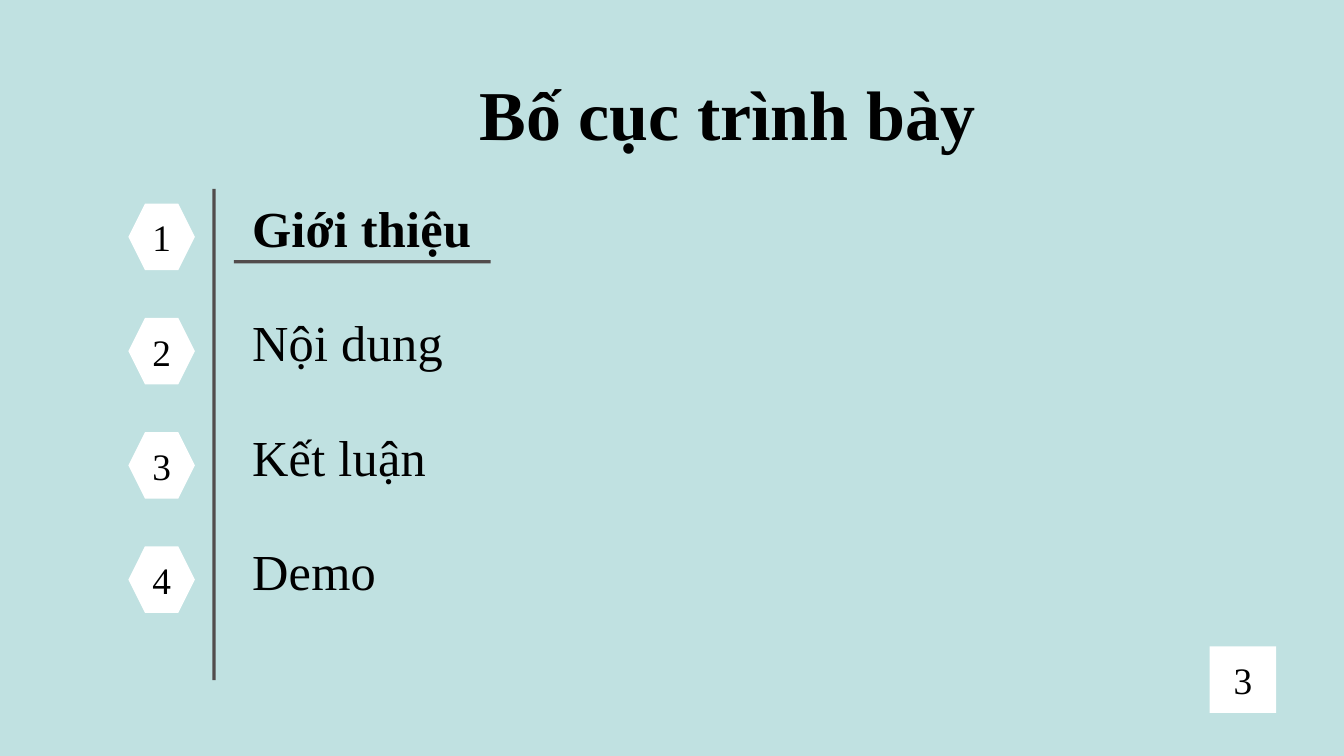
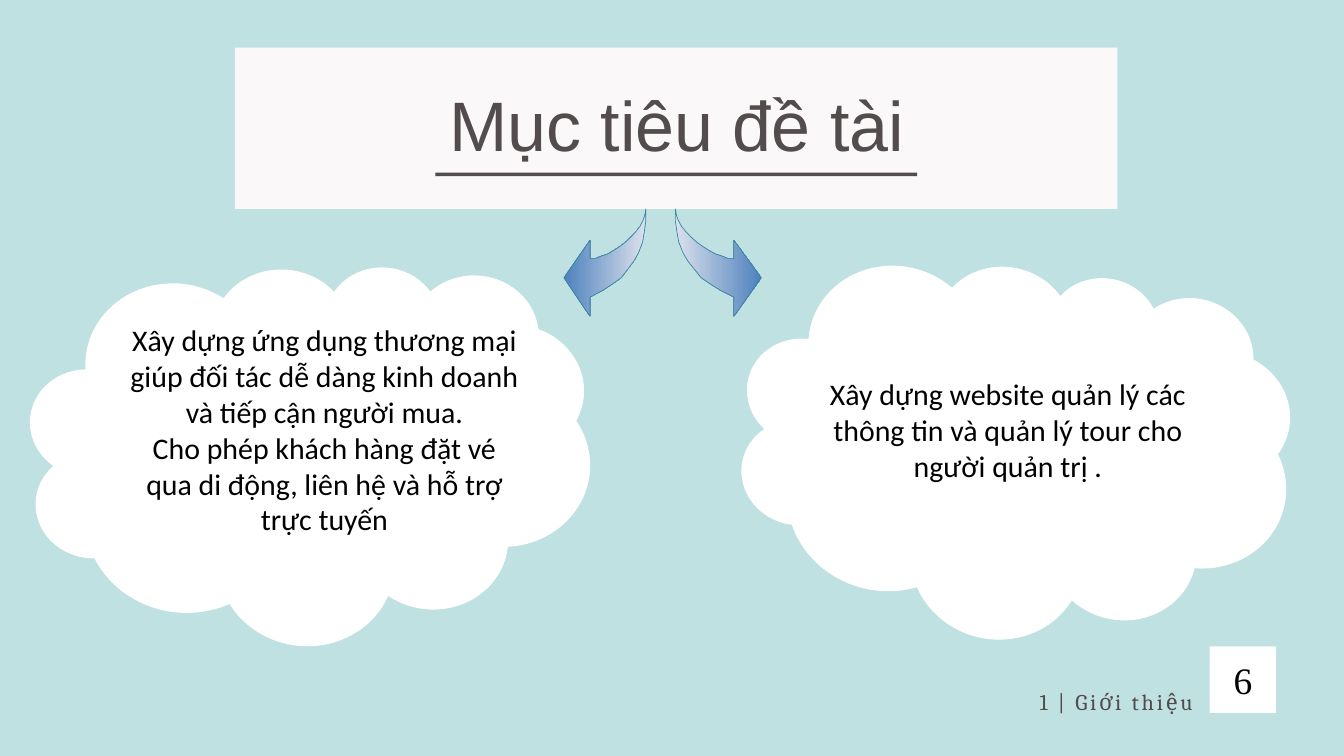
"""Builds the agenda slide and the project goals slide on a grid of 20 columns by 11.25 rows."""
from lxml import etree
from pptx import Presentation
from pptx import util as u
from pptx.dml.color import RGBColor
from pptx.enum import shapes, text
from pptx.oxml.ns import qn

COLUMNS, ROWS = 20, 11.25
CELL = u.Inches(1)
COLORS = {
    "background": "C0E1E1", "white": "FFFFFF", "black": "000000", "band": "FAF8F8",
    "rule": "524C4C", "arrow_dark": "4F81BD", "arrow_light": "DBE1ED", "arrow_edge": "31859C",
}
SERIF, SANS, BODY, LABEL = "Times New Roman", "Arial", "Calibri", "Cambria"
BADGE, RULE = 0.99, 0.05
TITLE_SIZE, TITLE_SPACING = 75, 82.5

AGENDA = {
    "title": "Bố cục trình bày",
    "page": "3",
    "items": ["Giới thiệu", "Nội dung", "Kết luận", "Demo"],
    "current": 0,
}
AGENDA_TOP, AGENDA_STEP = 3.03, 1.7

GOALS = {
    "title": "Mục tiêu đề tài",
    "page": "6",
    "section": "1 | Giới thiệu",
    "clouds": [
        {"box": (0.44, 3.89, 8.33, 5.69), "turn": 4.9, "text_box": (1.83, 4.74, 6, 4.41),
         "lines": ["Xây dựng ứng dụng thương mại giúp đối tác dễ dàng kinh doanh và tiếp cận người mua.",
                   "Cho phép khách hàng đặt vé qua di động, liên hệ và hỗ trợ trực tuyến"]},
        {"box": (11.02, 3.89, 8.16, 5.61), "turn": 12.7, "text_box": (12, 5.54, 6, 1.72),
         "lines": ["Xây dựng website quản lý các thông tin và quản lý tour cho người quản trị ."]},
    ],
    "arrows": [
        {"tail": 9.61, "reach": -1.22, "stops": ("arrow_dark", "arrow_light")},
        {"tail": 10.05, "reach": 1.28, "stops": ("arrow_light", "arrow_dark")},
    ],
}
ARROW_TOP, ARROW_HEIGHT = 3.11, 1.6
ARROW_OUTLINE = [
    (0, 0), (0, 0.11), (0.02, 0.22), (0.04, 0.31), (0.09, 0.41), (0.15, 0.49), (0.22, 0.56),
    (0.3, 0.64), (0.41, 0.7), (0.53, 0.76), (0.68, 0.82), (0.68, 1), (1, 0.64), (0.68, 0.29),
    (0.68, 0.46), (0.61, 0.46), (0.55, 0.44), (0.47, 0.42), (0.4, 0.39), (0.32, 0.35),
    (0.25, 0.31), (0.18, 0.26), (0.12, 0.21), (0.07, 0.16), (0.03, 0.1), (0.01, 0.05),
]


def color(name):
    return RGBColor.from_string(COLORS[name])


def cells(*lengths):
    return [round(length * CELL) for length in lengths]


def write(shape, lines, size, font, ink="black", bold=False, align="CENTER", spacing=None, tracking=0):
    frame = shape.text_frame
    frame.word_wrap = True
    frame.text = "\n".join(lines)
    for paragraph in frame.paragraphs:
        paragraph.alignment = text.PP_ALIGN[align]
        if spacing:
            paragraph.line_spacing = u.Pt(spacing)
        for run in paragraph.runs:
            run.font.name = font
            run.font.size = u.Pt(size)
            run.font.bold = bold
            run.font.color.rgb = color(ink)
            if tracking:
                run._r.get_or_add_rPr().set("spc", str(round(tracking * 100)))


def add_block(slide, kind, box, fill, edge=None):
    shape = slide.shapes.add_shape(shapes.MSO_SHAPE[kind], *cells(*box))
    shape.shadow.inherit = False
    shape.fill.solid()
    shape.fill.fore_color.rgb = color(fill)
    if edge:
        shape.line.color.rgb = color(edge)
        shape.line.width = u.Pt(2)
    else:
        shape.line.fill.background()
    return shape


def add_text(slide, box, lines, size, font, inset=True, **style):
    shape = slide.shapes.add_textbox(*cells(*box))
    frame = shape.text_frame
    if not inset:
        frame.margin_left = frame.margin_top = frame.margin_right = frame.margin_bottom = 0
    frame.auto_size = text.MSO_AUTO_SIZE.SHAPE_TO_FIT_TEXT
    write(shape, lines, size, font, **style)


def add_badge(slide, kind, left, top, label):
    badge = add_block(slide, kind, (left, top, BADGE, BADGE), "white")
    badge.text_frame.vertical_anchor = text.MSO_ANCHOR.MIDDLE
    write(badge, [label], 40, SERIF)


def add_title(slide, box, title, font, **style):
    add_text(slide, box, [title], TITLE_SIZE, font, inset=False, spacing=TITLE_SPACING, **style)


def add_arrow(slide, tail, reach, stops):
    points = [cells(tail + x * reach, ARROW_TOP + y * ARROW_HEIGHT) for x, y in ARROW_OUTLINE]
    builder = slide.shapes.build_freeform(*points[0])
    builder.add_line_segments(points[1:], close=True)
    arrow = builder.convert_to_shape()
    arrow.shadow.inherit = False
    arrow.fill.gradient()
    arrow.fill.gradient_angle = 0
    for stop, name in zip(arrow.fill.gradient_stops, stops):
        for child in list(stop.color._xFill):
            stop.color._xFill.remove(child)
        etree.SubElement(stop.color._xFill, qn("a:srgbClr")).set("val", COLORS[name])
    arrow.line.color.rgb = color("arrow_edge")
    arrow.line.width = u.Pt(0.75)


def new_slide(presentation, page):
    slide = presentation.slides.add_slide(presentation.slide_layouts[6])
    slide.background.fill.solid()
    slide.background.fill.fore_color.rgb = color("background")
    add_badge(slide, "RECTANGLE", 18, 9.62, page)
    return slide


def build_agenda(presentation):
    slide = new_slide(presentation, AGENDA["page"])
    add_title(slide, (6.22, 1.16, 9.21, 1.19), AGENDA["title"], SERIF, bold=True)
    add_block(slide, "RECTANGLE", (3.16, 2.81, RULE, 7.31), "rule")
    for index, item in enumerate(AGENDA["items"]):
        top = AGENDA_TOP + index * AGENDA_STEP
        current = index == AGENDA["current"]
        add_badge(slide, "HEXAGON", 1.91, top, str(index + 1))
        add_text(slide, (3.75, top + 0.18, 6.58, 0.67), [item], 54, SERIF, inset=False,
                 bold=current, align="LEFT", spacing=45, tracking=0.3)
        if current:
            add_block(slide, "RECTANGLE", (3.48, top + 0.84, 3.82, RULE), "rule")


def build_goals(presentation):
    slide = new_slide(presentation, GOALS["page"])
    add_block(slide, "RECTANGLE", (3.5, 0.71, 13.13, 2.4), "band")
    add_title(slide, (4.03, 1.31, 12.08, 1.19), GOALS["title"], SANS, ink="rule")
    add_block(slide, "RECTANGLE", (6.48, 2.57, 7.17, RULE), "rule")
    for cloud in GOALS["clouds"]:
        add_block(slide, "CLOUD", cloud["box"], "white", edge="white").rotation = cloud["turn"]
        add_text(slide, cloud["text_box"], cloud["lines"], 32, BODY)
    for arrow in GOALS["arrows"]:
        add_arrow(slide, **arrow)
    add_text(slide, (13.42, 10.18, 6.38, 0.44), [GOALS["section"]], 24, LABEL, inset=False,
             ink="rule", spacing=33.6, tracking=2.9)


def main():
    presentation = Presentation()
    presentation.slide_width, presentation.slide_height = cells(COLUMNS, ROWS)
    build_agenda(presentation)
    build_goals(presentation)
    presentation.save("out.pptx")


if __name__ == "__main__":
    main()
